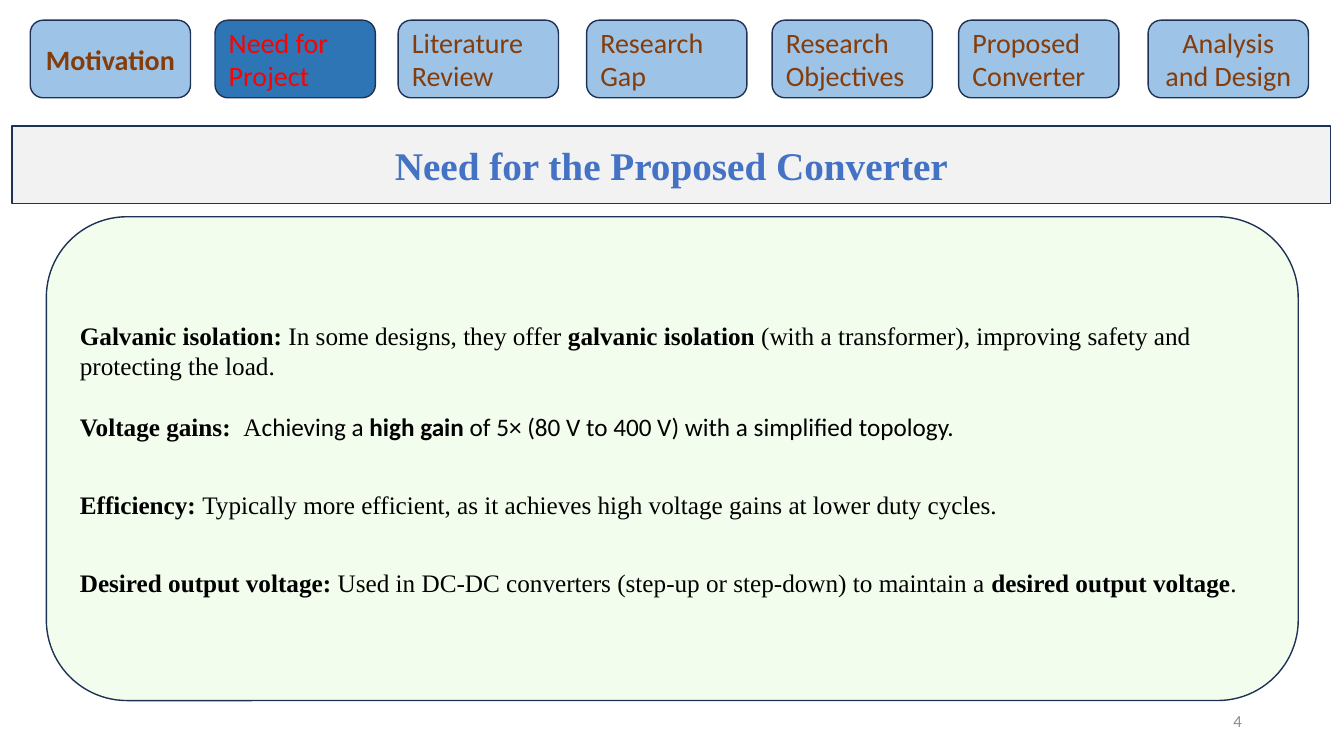
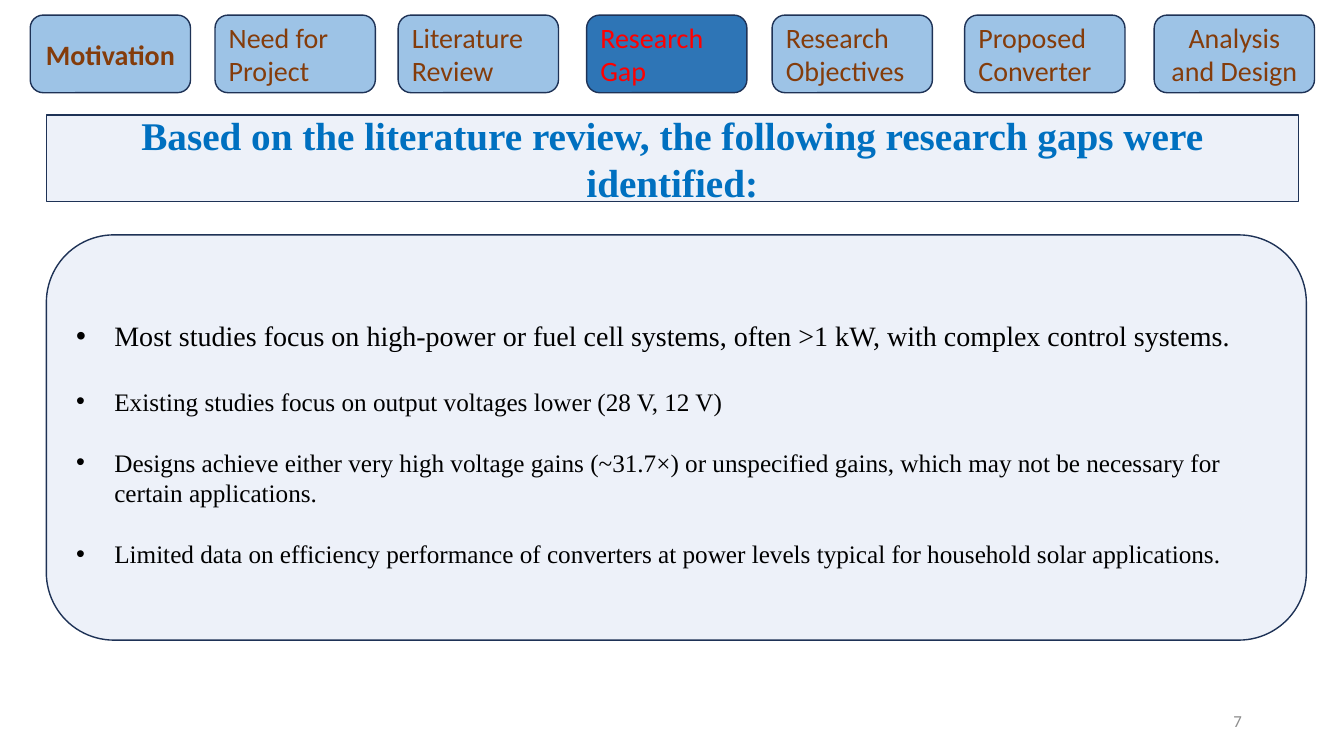
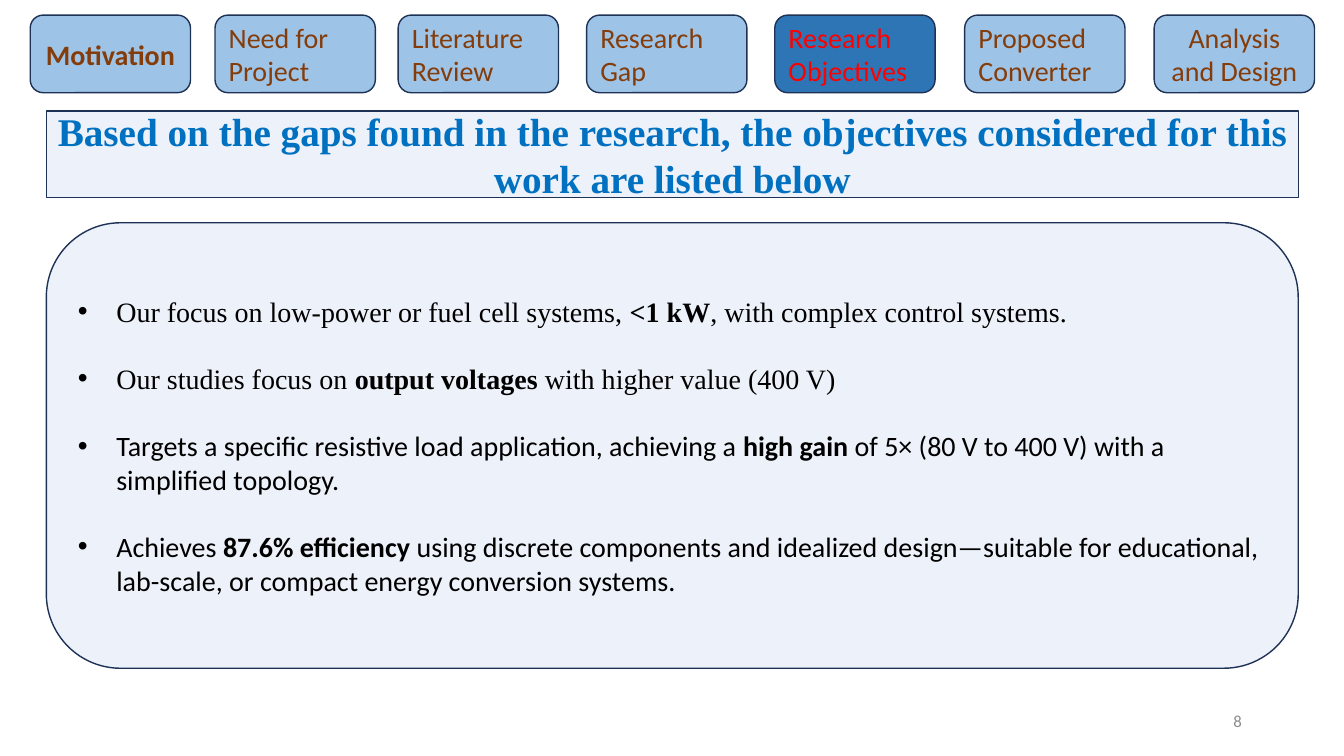
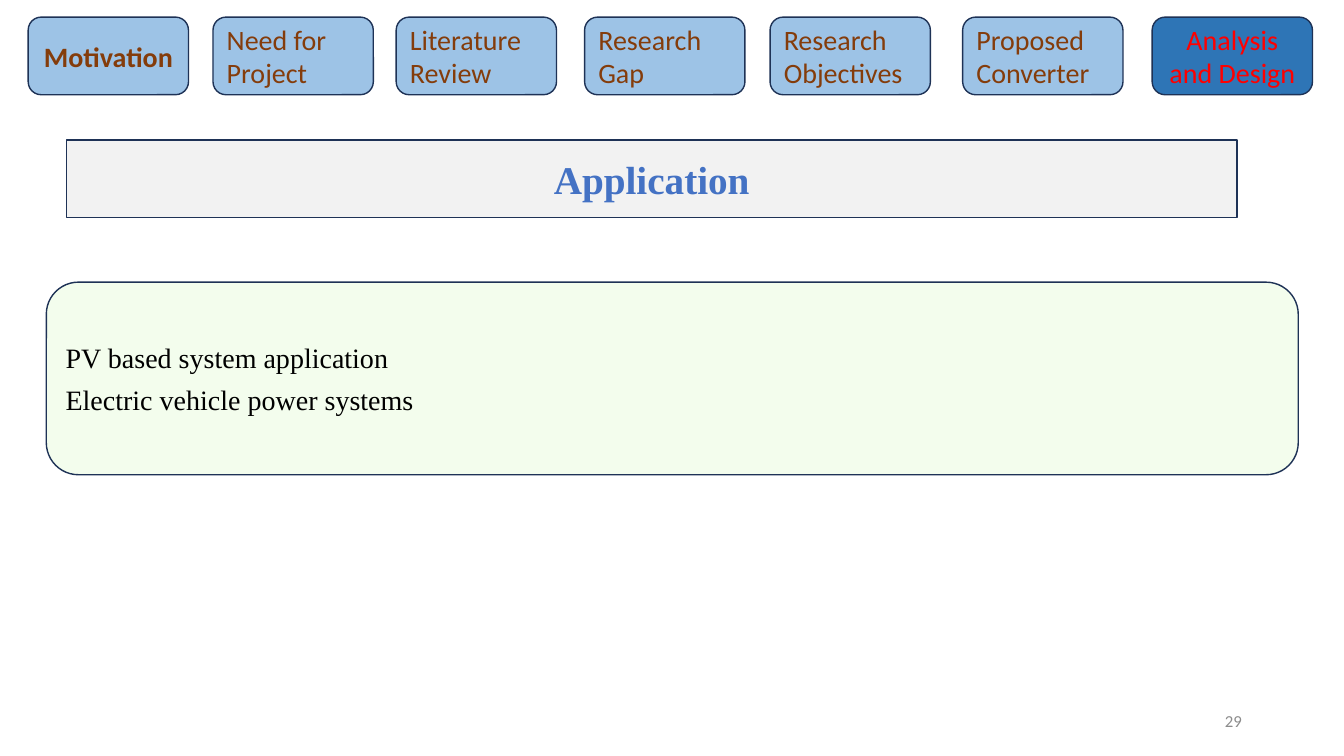
from lxml.etree import SubElement
from pptx import Presentation
from pptx.dml.color import RGBColor
from pptx.enum.shapes import MSO_SHAPE
from pptx.enum.text import MSO_ANCHOR, MSO_AUTO_SIZE, PP_ALIGN
from pptx.oxml.ns import qn
from pptx.util import Inches, Pt

NAVY = RGBColor(0x1E, 0x32, 0x56)
SKY = RGBColor(0x9D, 0xC3, 0xE6)
BLUE = RGBColor(0x2E, 0x75, 0xB6)
BROWN = RGBColor(0x84, 0x3C, 0x0B)
RED = RGBColor(0xFF, 0x00, 0x00)
GREY = RGBColor(0xF2, 0xF2, 0xF2)
GREEN = RGBColor(0xF3, 0xFD, 0xED)
PALE = RGBColor(0xED, 0xF1, 0xF9)
INDIGO = RGBColor(0x44, 0x72, 0xC4)
AZURE = RGBColor(0x00, 0x70, 0xC0)
BLACK = RGBColor(0x00, 0x00, 0x00)
MUTED = RGBColor(0x8C, 0x8C, 0x8C)
SERIF, SANS = "Times New Roman", "Calibri"

prs = Presentation()
prs.slide_width, prs.slide_height = Inches(13.333), Inches(7.5)
COL, ROW = prs.slide_width / 100, prs.slide_height / 100

TABS = [
    ("Motivation", 2.25, PP_ALIGN.CENTER, True),
    ("Need for Project", 16, PP_ALIGN.LEFT, False),
    ("Literature Review", 29.63, PP_ALIGN.LEFT, False),
    ("Research Gap", 43.65, PP_ALIGN.LEFT, False),
    ("Research Objectives", 57.45, PP_ALIGN.LEFT, False),
    ("Proposed Converter", 71.78, PP_ALIGN.LEFT, False),
    ("Analysis and Design", 85.88, PP_ALIGN.CENTER, False),
]
TAB_W, TAB_H = 11.93, 10.27
NUMBER_AREA = (70.65, 92.67, 22.5, 5.33)

SLIDES = [
    dict(
        number="4", active=1, tab_y=2.67, tab_dx=0, moved={5: -0.45, 6: -0.45},
        title="Need for the Proposed Converter", title_color=INDIGO,
        banner=(0.9, 16.67, 98.1, 10.27), banner_fill=GREY,
        panel=(3.45, 28.67, 93.15, 64), panel_fill=GREEN, bullets=False, inset=0.05,
        body=[
            (18, 0, [(SERIF, "**Galvanic isolation: **In some designs, they offer **galvanic isolation** (with a transformer), improving safety and protecting the load.")]),
            (18, 22, [(SERIF, "**Voltage gains:  **A"), (SANS, "chieving a **high gain **of 5× (80 V to 400 V) with a simplified topology.")]),
            (18, 34, [(SERIF, "**Efficiency: **Typically more efficient, as it achieves high voltage gains at lower duty cycles.")]),
            (18, 34, [(SERIF, "**Desired output voltage: **Used in DC-DC converters (step-up or step-down) to maintain a **desired output voltage**.")]),
        ],
    ),
    dict(
        number="7", active=3, tab_y=2, tab_dx=0, moved={},
        title="Based on the literature review, the following research gaps were identified:", title_color=AZURE,
        banner=(3.45, 15.2, 93.15, 11.47), banner_fill=PALE,
        panel=(3.45, 31.07, 93.75, 53.6), panel_fill=PALE, bullets=True, inset=0.17,
        body=[
            (20, 0, [(SERIF, "Most studies focus on high-power or fuel cell systems, often >1 kW, with complex control systems.")]),
            (18, 24, [(SERIF, "Existing studies focus on output voltages lower (28 V, 12 V)")]),
            (18, 22, [(SERIF, "Designs achieve either very high voltage gains (~31.7×) or unspecified gains, which may not be necessary for certain applications.")]),
            (18, 22, [(SERIF, "Limited data on efficiency performance of converters at power levels typical for household solar applications.")]),
        ],
    ),
    dict(
        number="8", active=4, tab_y=2, tab_dx=0, moved={4: 0.2},
        title="Based on the gaps found in the research, the objectives considered for this work are listed below", title_color=AZURE,
        banner=(3.45, 14.67, 93.15, 11.47), banner_fill=PALE,
        panel=(3.45, 29.47, 93.15, 58.93), panel_fill=PALE, bullets=True, inset=0.05,
        body=[
            (20, 0, [(SERIF, "Our focus on low-power or fuel cell systems, **<1 kW**, with complex control systems.")]),
            (20, 24, [(SERIF, "Our studies focus on **output voltages **with higher value (400 V)")]),
            (20, 24, [(SANS, "Targets a specific resistive load application, achieving a **high gain **of 5× (80 V to 400 V) with a simplified topology.")]),
            (20, 24, [(SANS, "Achieves **87.6% efficiency **using discrete components and idealized design—suitable for educational, lab-scale, or compact energy conversion systems.")]),
        ],
    ),
    dict(
        number="29", active=6, tab_y=2.27, tab_dx=-0.15, moved={},
        title="Application", title_color=INDIGO,
        banner=(4.95, 18.53, 87.08, 10.27), banner_fill=GREY,
        panel=(3.45, 37.33, 93.15, 25.47), panel_fill=GREEN, bullets=False, inset=0.05,
        body=[
            (20, 0, [(SERIF, "PV based system application")]),
            (20, 6, [(SERIF, "Electric vehicle power systems")]),
        ],
    ),
]


def place(sp, area, fill=None):
    x, y, w, h = area
    box = dict(left=x * COL, top=y * ROW, width=w * COL, height=h * ROW)
    for name, value in box.items():
        setattr(sp, name, round(value))
    if fill is not None:
        if sp.is_placeholder:
            geom = SubElement(sp._element.spPr, qn("a:prstGeom"), prst="roundRect")
            SubElement(geom, qn("a:avLst"))
        else:
            sp.shadow.inherit = False
        sp.fill.solid()
        sp.fill.fore_color.rgb = fill
        sp.line.color.rgb = NAVY
        sp.line.width = Pt(1)
    tf = sp.text_frame
    frame = dict(word_wrap=True, auto_size=MSO_AUTO_SIZE.NONE, vertical_anchor=MSO_ANCHOR.MIDDLE)
    for name, value in frame.items():
        setattr(tf, name, value)
    return tf


def write(p, text, color, align=PP_ALIGN.LEFT, **font):
    p.alignment = align
    for i, part in enumerate(text.split("**")):
        if part:
            r = p.add_run()
            r.text = part
            r.font.color.rgb = color
            for name, value in {"bold": i % 2 == 1, **font}.items():
                setattr(r.font, name, value)


for data in SLIDES:
    s = prs.slides.add_slide(prs.slide_layouts[5])

    tf = place(s.shapes.title, data["banner"], data["banner_fill"])
    write(tf.paragraphs[0], data["title"], data["title_color"], PP_ALIGN.CENTER, name=SERIF, size=Pt(28), bold=True)

    tf = place(s.shapes.add_textbox(0, 0, 0, 0), NUMBER_AREA)
    write(tf.paragraphs[0], data["number"], MUTED, PP_ALIGN.RIGHT, name=SANS, size=Pt(12))

    panel = s.shapes.add_shape(MSO_SHAPE.ROUNDED_RECTANGLE, 0, 0, 0, 0)
    tf = place(panel, data["panel"], data["panel_fill"])
    tf.margin_top = Inches(data["inset"])
    for i, (size, before, pieces) in enumerate(data["body"]):
        p = tf.add_paragraph() if i else tf.paragraphs[0]
        if data["bullets"]:
            pPr = p._p.get_or_add_pPr()
            pPr.set("marL", str(Inches(0.38)))
            pPr.set("indent", str(Inches(-0.38)))
            SubElement(pPr, qn("a:buFont"), typeface="Arial")
            SubElement(pPr, qn("a:buChar"), char="•")
        if before:
            p.space_before = Pt(before)
        for font, text in pieces:
            write(p, text, BLACK, name=font, size=Pt(size))

    for i, (label, x, align, bold) in enumerate(TABS):
        active = i == data["active"]
        x += data["tab_dx"] + data["moved"].get(i, 0)
        tab = s.shapes.add_shape(MSO_SHAPE.ROUNDED_RECTANGLE, 0, 0, 0, 0)
        tf = place(tab, (x, data["tab_y"], TAB_W, TAB_H), BLUE if active else SKY)
        write(tf.paragraphs[0], label, RED if active else BROWN, align, name=SANS, size=Pt(20), bold=bold)

prs.save("out.pptx")
